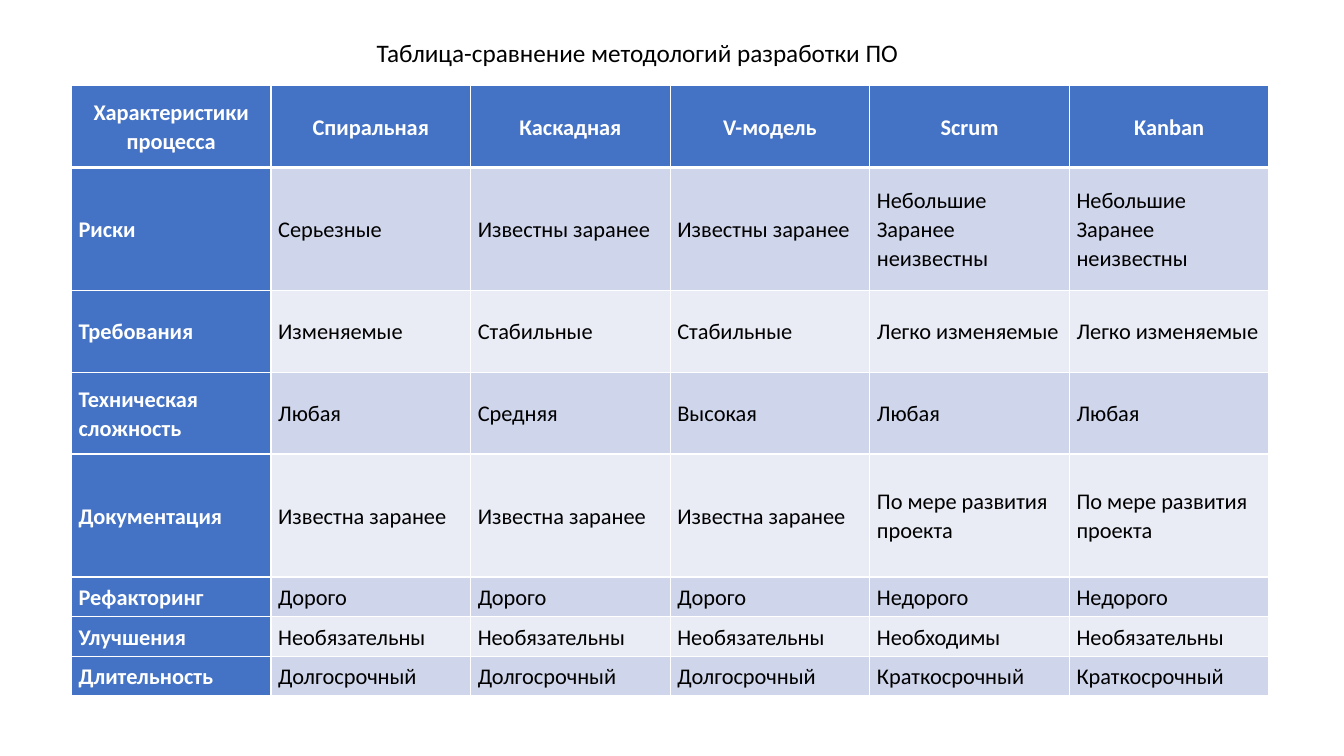
"""Build a slide with a table comparing software development methodologies."""
from dataclasses import dataclass

from lxml.etree import SubElement
from pptx import Presentation
from pptx.dml.color import RGBColor as Color
from pptx.enum.text import MSO_ANCHOR as Anchor, MSO_AUTO_SIZE as AutoSize, PP_ALIGN as Align
from pptx.oxml.ns import qn
from pptx.util import Cm, Pt

TITLE = "Таблица-сравнение методологий разработки ПО"
HEADER = ("Характеристики процесса", "Спиральная", "Каскадная", "V-модель", "Scrum", "Kanban")
UNKNOWN_RISKS = "Небольшие\nЗаранее неизвестны"
ROWS = [
    HEADER,
    ("Риски", "Серьезные", "Известны заранее", "Известны заранее", UNKNOWN_RISKS, UNKNOWN_RISKS),
    ("Требования", "Изменяемые", "Стабильные", "Стабильные", "Легко изменяемые", "Легко изменяемые"),
    ("Техническая сложность", "Любая", "Средняя", "Высокая", "Любая", "Любая"),
    ("Документация", "Известна заранее", "Известна заранее", "Известна заранее",
     "По мере развития проекта", "По мере развития проекта"),
    ("Рефакторинг", "Дорого", "Дорого", "Дорого", "Недорого", "Недорого"),
    ("Улучшения", "Необязательны", "Необязательны", "Необязательны", "Необходимы", "Необязательны"),
    ("Длительность", "Долгосрочный", "Долгосрочный", "Долгосрочный", "Краткосрочный", "Краткосрочный"),
]
ROW_HEIGHTS = (2.06, 3.1, 2.06, 2.06, 3.1, 1, 1, 1)
COLUMN_WIDTH = 5.03
TABLE_LEFT, TABLE_TOP = 1.8, 2.16


@dataclass(frozen=True)
class Theme:
    font: str = "Calibri"
    title_size: int = 18
    cell_size: int = 16
    line_spacing: float = 1.07
    text: str = "000000"
    heading_text: str = "FFFFFF"
    heading_fill: str = "4472C4"
    bands: tuple = ("E9EBF5", "CFD5EA")
    border: str = "FFFFFF"
    border_width: int = 1
    header_border_width: int = 3


THEME = Theme()


def style_font(paragraph, size, color, bold=False):
    font = paragraph.font
    font.name, font.size, font.bold = THEME.font, Pt(size), bold
    font.color.rgb = Color.from_string(color)


def add_borders(cell, row):
    properties = cell._tc.get_or_add_tcPr()
    for side in ("L", "R", "T", "B"):
        under_header = (row, side) in ((0, "B"), (1, "T"))
        width = THEME.header_border_width if under_header else THEME.border_width
        line = SubElement(properties, qn(f"a:ln{side}"), w=str(Pt(width)))
        fill = SubElement(line, qn("a:solidFill"))
        SubElement(fill, qn("a:srgbClr"), val=THEME.border)


def fill_cell(cell, text, row, column):
    is_heading = row == 0 or column == 0
    cell.text = text
    cell.vertical_anchor = Anchor.MIDDLE
    cell.margin_left = cell.margin_right = Cm(0.18)
    cell.margin_top = cell.margin_bottom = 0
    add_borders(cell, row)
    cell.fill.solid()
    fill = THEME.heading_fill if is_heading else THEME.bands[row % 2]
    cell.fill.fore_color.rgb = Color.from_string(fill)
    for paragraph in cell.text_frame.paragraphs:
        paragraph.alignment = Align.CENTER if row == 0 else Align.LEFT
        paragraph.line_spacing = THEME.line_spacing
        color = THEME.heading_text if is_heading else THEME.text
        style_font(paragraph, THEME.cell_size, color, is_heading)


def add_comparison(slide):
    table = slide.shapes.add_table(
        len(ROWS), len(HEADER), Cm(TABLE_LEFT), Cm(TABLE_TOP),
        Cm(COLUMN_WIDTH * len(HEADER)), Cm(sum(ROW_HEIGHTS))).table
    table.first_col = True
    for column in table.columns:
        column.width = Cm(COLUMN_WIDTH)
    for row, (height, texts) in enumerate(zip(ROW_HEIGHTS, ROWS)):
        table.rows[row].height = Cm(height)
        for column, text in enumerate(texts):
            fill_cell(table.cell(row, column), text, row, column)


def add_title(slide):
    frame = slide.shapes.add_textbox(Cm(3.63), Cm(0.82), Cm(24.87), Cm(1.03)).text_frame
    frame.word_wrap = True
    frame.auto_size = AutoSize.SHAPE_TO_FIT_TEXT
    paragraph = frame.paragraphs[0]
    paragraph.text = TITLE
    paragraph.alignment = Align.CENTER
    style_font(paragraph, THEME.title_size, THEME.text)


def main():
    presentation = Presentation()
    presentation.slide_width, presentation.slide_height = Cm(33.87), Cm(19.05)
    slide = presentation.slides.add_slide(presentation.slide_layouts[6])
    add_comparison(slide)
    add_title(slide)
    presentation.save("out.pptx")


if __name__ == "__main__":
    main()
